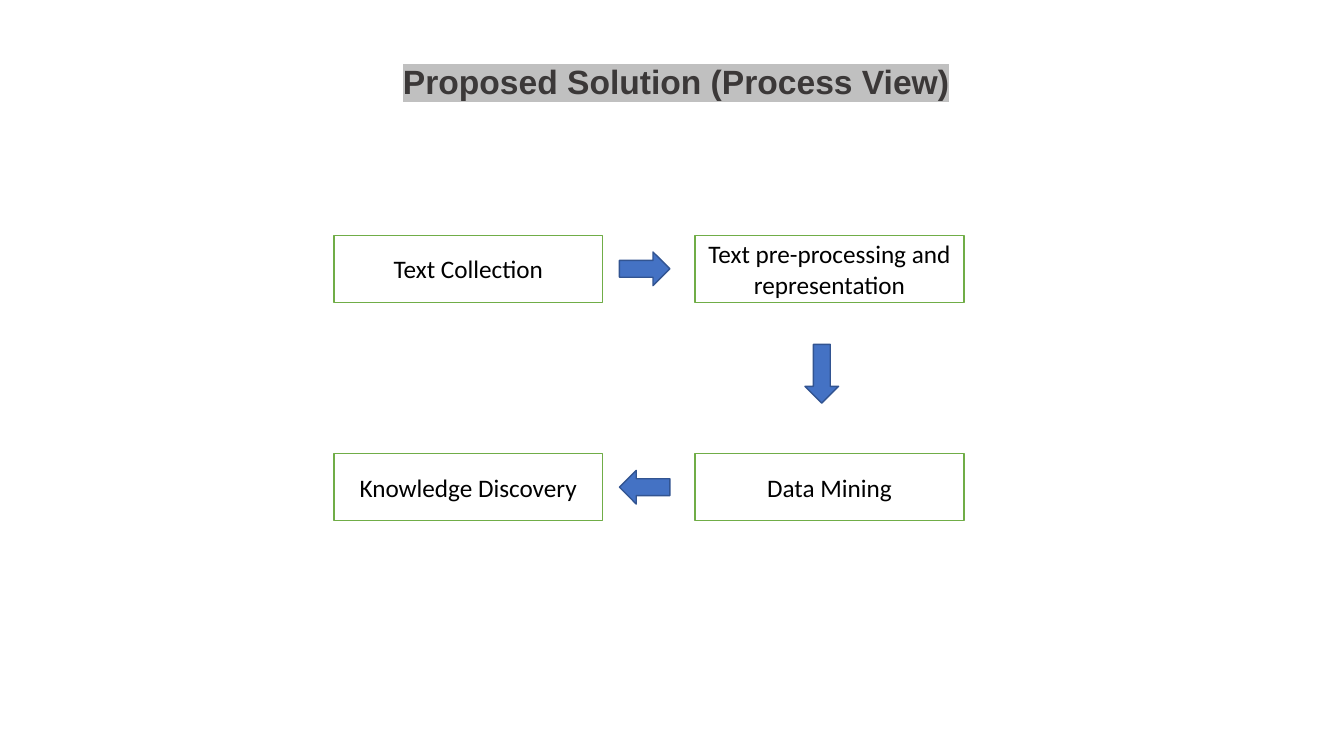
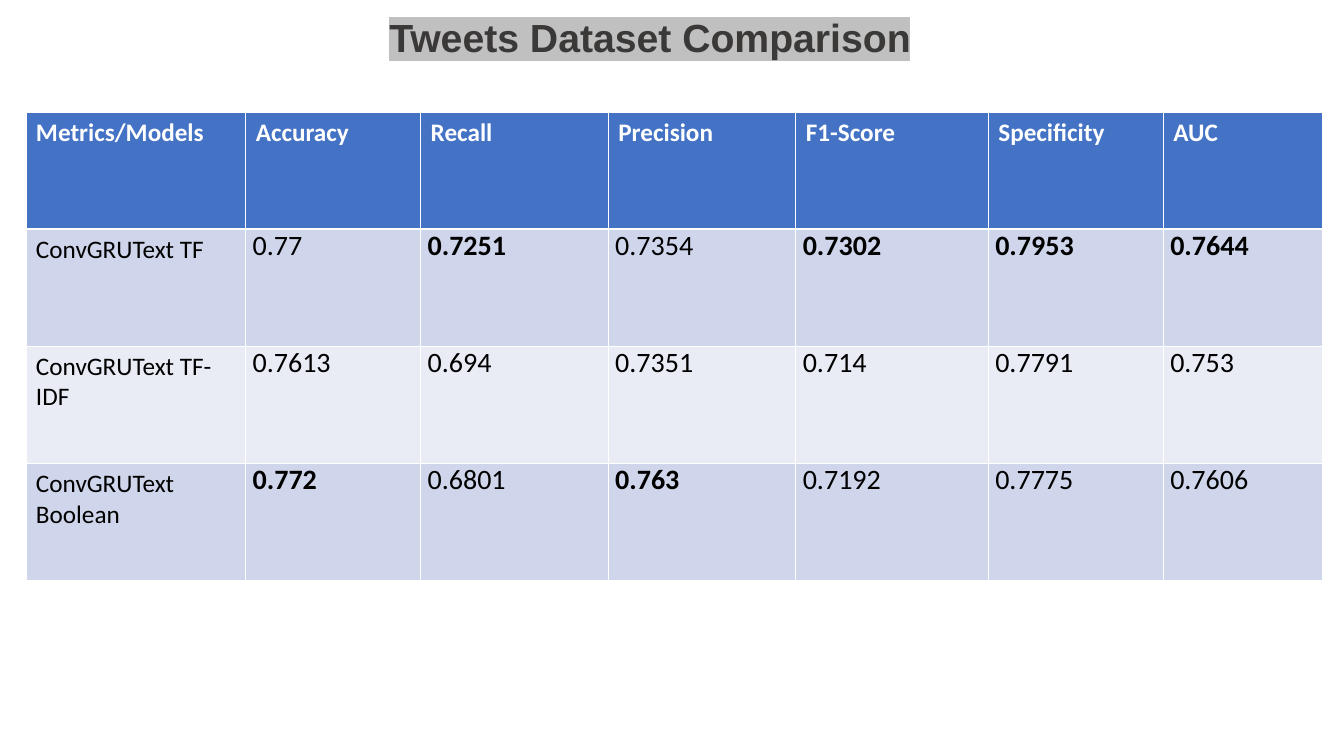
from lxml.etree import SubElement
from pptx import Presentation
from pptx.dml.color import RGBColor
from pptx.enum.shapes import MSO_SHAPE
from pptx.enum.text import MSO_ANCHOR, PP_ALIGN
from pptx.oxml.ns import qn
from pptx.util import Pt

WHITE, BLACK = "FFFFFF", "000000"
TITLE_INK, TITLE_HIGHLIGHT = "3B3838", "C0C0C0"
STEP_BORDER, ARROW_BORDER = "70AD47", "325491"
BLUE = "4472C4"
BANDS = ("CFD5EA", "E9EBF5")

METRICS = ("Metrics/Models", "Accuracy", "Recall", "Precision", "F1-Score", "Specificity", "AUC")
SCORES = (
    ("ConvGRUText TF", "0.77", "0.7251", "0.7354", "0.7302", "0.7953", "0.7644"),
    ("ConvGRUText TF-IDF", "0.7613", "0.694", "0.7351", "0.714", "0.7791", "0.753"),
    ("ConvGRUText Boolean", "0.772", "0.6801", "0.763", "0.7192", "0.7775", "0.7606"),
)
COLUMN_WIDTHS = (157, 125, 134, 134, 137.5, 125, 114)


def rgb(hex_color):
    return RGBColor.from_string(hex_color)


def set_font(paragraph, size, color, name="Calibri", bold=False):
    font = paragraph.font
    font.name, font.size, font.bold = name, Pt(size), bold
    font.color.rgb = rgb(color)


def add_title(slide, text, box, size):
    """Put a highlighted title at the bottom of the box."""
    frame = slide.shapes.add_textbox(*map(Pt, box)).text_frame
    frame.word_wrap = True
    frame.vertical_anchor = MSO_ANCHOR.BOTTOM
    paragraph = frame.paragraphs[0]
    paragraph.alignment = PP_ALIGN.CENTER
    paragraph.line_spacing = 0.9
    set_font(paragraph, size, TITLE_INK, "Arial", True)
    run = paragraph.add_run()
    run.text = text
    highlight = SubElement(run.font._element, qn("a:highlight"))
    SubElement(highlight, qn("a:srgbClr"), val=TITLE_HIGHLIGHT)


def add_block(slide, preset, box, fill, border):
    block = slide.shapes.add_shape(preset, *map(Pt, box))
    block.shadow.inherit = False
    block.fill.solid()
    block.fill.fore_color.rgb = rgb(fill)
    block.line.color.rgb = rgb(border)
    block.line.width = Pt(1)
    return block


def add_step(slide, text, box):
    frame = add_block(slide, MSO_SHAPE.RECTANGLE, box, WHITE, STEP_BORDER).text_frame
    frame.word_wrap = True
    frame.vertical_anchor = MSO_ANCHOR.MIDDLE
    paragraph = frame.paragraphs[0]
    paragraph.text = text
    paragraph.alignment = PP_ALIGN.CENTER
    set_font(paragraph, 18, BLACK)


def add_process(slide, box):
    """Place four steps in the corners of the box, with arrows running clockwise."""
    left, top, width, height = box
    step_width, step_height = 192, 48
    right, bottom = left + width - step_width, top + height - step_height
    for text, x, y in (
        ("Text Collection", left, top),
        ("Text pre-processing and representation", right, top),
        ("Data Mining", right, bottom),
        ("Knowledge Discovery", left, bottom),
    ):
        add_step(slide, text, (x, y, step_width, step_height))

    # Arrows sit slightly left of and above the gap centres.
    gap_x = left + width / 2 - 3
    gap_y = top + height / 2 - 3
    for preset, x, y, arrow_width, arrow_height in (
        (MSO_SHAPE.RIGHT_ARROW, gap_x, top + step_height / 2, 36, 24),
        (MSO_SHAPE.DOWN_ARROW, right + step_width / 2 - 5.5, gap_y, 24, 42),
        (MSO_SHAPE.LEFT_ARROW, gap_x, bottom + step_height / 2, 36, 24),
    ):
        arrow_box = (x - arrow_width / 2, y - arrow_height / 2, arrow_width, arrow_height)
        add_block(slide, preset, arrow_box, BLUE, ARROW_BORDER)


def fill_cell(cell, text, fill):
    cell.fill.solid()
    cell.fill.fore_color.rgb = rgb(fill)
    paragraph = cell.text_frame.paragraphs[0]
    paragraph.text = text
    return paragraph


def add_scores(slide, box):
    """Fill the box with the score table; the best score of each metric is bold."""
    left, top, width, height = map(Pt, box)
    table = slide.shapes.add_table(len(SCORES) + 1, len(METRICS), left, top, width, height).table
    for column, column_width in zip(table.columns, COLUMN_WIDTHS):
        column.width = Pt(column_width)
    for index, metric in enumerate(METRICS):
        set_font(fill_cell(table.cell(0, index), metric, BLUE), 18, WHITE, bold=True)

    best = [max(column, key=float) for column in list(zip(*SCORES))[1:]]
    for row, (model, *scores) in enumerate(SCORES, 1):
        band = BANDS[(row - 1) % 2]
        set_font(fill_cell(table.cell(row, 0), model, band), 18, BLACK)
        for index, score in enumerate(scores):
            cell = table.cell(row, index + 1)
            cell.margin_left = cell.margin_right = Pt(5)
            cell.margin_top = cell.margin_bottom = 0
            paragraph = fill_cell(cell, score, band)
            paragraph.alignment = PP_ALIGN.JUSTIFY
            paragraph.space_after = Pt(6)
            set_font(paragraph, 20, BLACK, bold=score == best[index])


def main():
    deck = Presentation()
    deck.slide_width, deck.slide_height = Pt(960), Pt(540)
    blank = deck.slide_layouts[6]

    process = deck.slides.add_slide(blank)
    add_title(process, "Proposed Solution (Process View)", (24, 21, 918, 55.5), 24)
    add_process(process, (238.5, 168, 450, 204))

    comparison = deck.slides.add_slide(blank)
    add_title(comparison, "Tweets Dataset Comparison", (98.5, -8.5, 731.5, 55.5), 28)
    add_scores(comparison, (18.5, 80, sum(COLUMN_WIDTHS), 334.5))

    deck.save("out.pptx")


if __name__ == "__main__":
    main()
